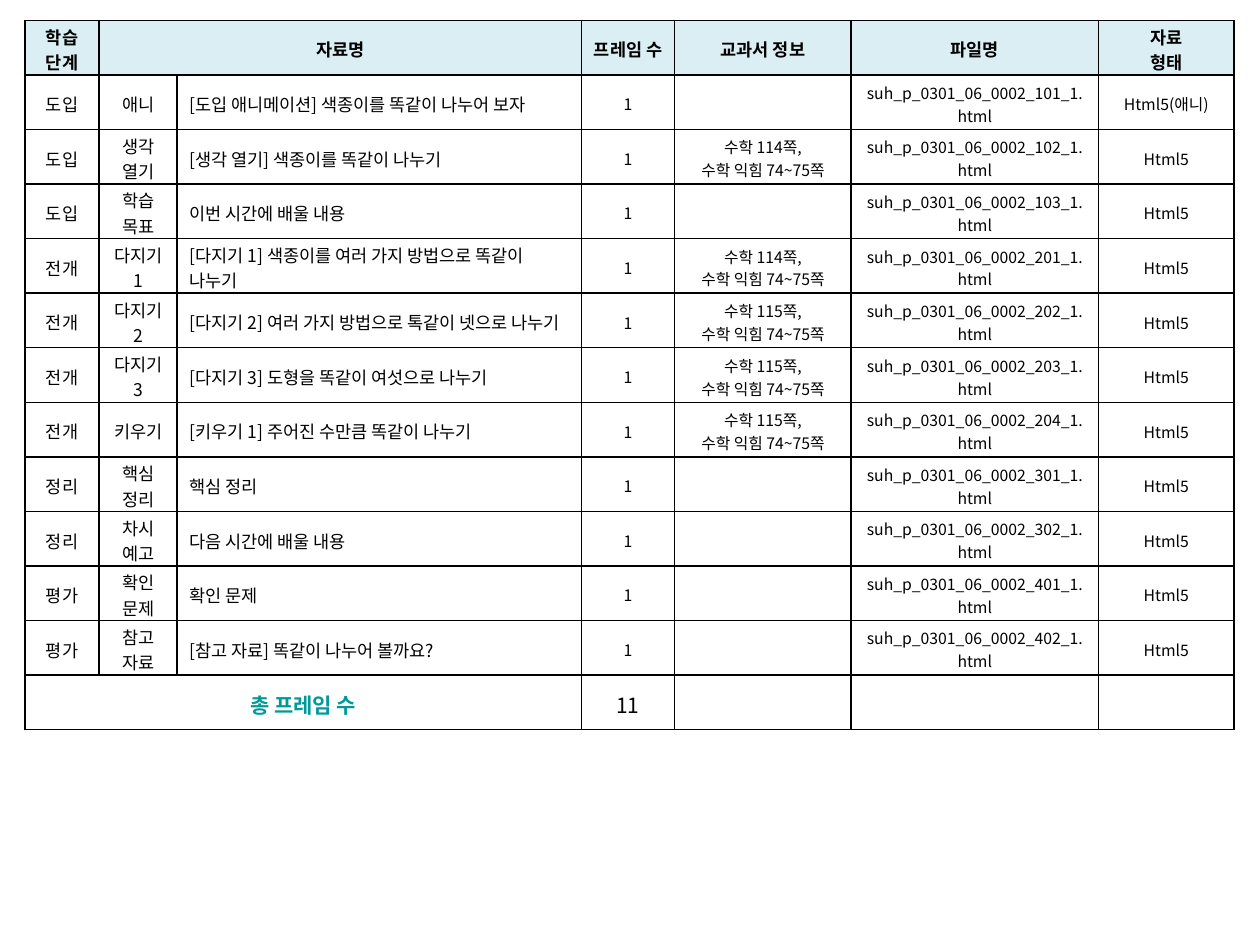
import dataclasses

import lxml.etree
import pptx
import pptx.dml.color
import pptx.enum.text
import pptx.oxml.ns
import pptx.util

Cm = pptx.util.Cm
Pt = pptx.util.Pt
ALIGN = pptx.enum.text.PP_ALIGN
qn = pptx.oxml.ns.qn


@dataclasses.dataclass
class Theme:
    font: str = "Noto Sans CJK KR"
    ink: str = "000000"
    teal: str = "009999"
    head: str = "DBEEF4"
    paper: str = "FFFFFF"
    small: int = 9
    text: int = 10
    large: int = 12
    line: int = 1


def color(code):
    return pptx.dml.color.RGBColor.from_string(code)


class Deck:
    def __init__(self, theme):
        self.theme = theme
        self.file = pptx.Presentation()
        self.file.slide_width = Cm(25.4)
        self.file.slide_height = Cm(19.05)
        self.slide = self.file.slides.add_slide(self.file.slide_layouts[6])

    def table(self, left, top, widths, height, count):
        """Add a plain table whose rows are all equally high."""
        frame = self.slide.shapes.add_table(
            count, len(widths), Cm(left), Cm(top),
            Cm(sum(widths)), Cm(height * count))
        table = frame.table
        table.first_row = table.horz_banding = False
        for column, width in zip(table.columns, widths):
            column.width = Cm(width)
        for row in table.rows:
            row.height = Cm(height)
        return table

    def border(self, cell):
        props = cell._tc.get_or_add_tcPr()
        for place, side in enumerate("LRTB"):
            line = lxml.etree.Element(qn("a:ln" + side), w=str(Pt(self.theme.line)))
            fill = lxml.etree.SubElement(line, qn("a:solidFill"))
            lxml.etree.SubElement(fill, qn("a:srgbClr"), val=self.theme.ink)
            props.insert(place, line)

    def cell(self, cell, text, size, fill=None, ink=None, bold=False,
             align=ALIGN.CENTER):
        theme = self.theme
        cell.fill.solid()
        cell.fill.fore_color.rgb = color(fill or theme.paper)
        self.border(cell)
        cell.vertical_anchor = pptx.enum.text.MSO_ANCHOR.MIDDLE
        cell.margin_top, cell.margin_bottom = Cm(0.07), 0
        cell.text = text
        for para in cell.text_frame.paragraphs:
            para.alignment = align
            font = para.font
            font.size, font.bold, font.name = Pt(size), bold, theme.font
            font.color.rgb = color(ink or theme.ink)
            lxml.etree.SubElement(font._element, qn("a:ea"), typeface=theme.font)


HEADS = ["학습 단계", "자료명", "", "프레임 수", "교과서 정보", "파일명", "자료\n형태"]
WIDTHS = [1.5, 1.57, 8.15, 1.88, 3.56, 4.98, 2.74]

# Stage, kind, title, textbook page, file number
ITEMS = [
    ("도입", "애니", "[도입 애니메이션] 색종이를 똑같이 나누어 보자", None, 101),
    ("도입", "생각 열기", "[생각 열기] 색종이를 똑같이 나누기", 114, 102),
    ("도입", "학습 목표", "이번 시간에 배울 내용", None, 103),
    ("전개", "다지기 1", "[다지기 1] 색종이를 여러 가지 방법으로 똑같이 나누기", 114, 201),
    ("전개", "다지기 2", "[다지기 2] 여러 가지 방법으로 톡같이 넷으로 나누기", 115, 202),
    ("전개", "다지기 3", "[다지기 3] 도형을 똑같이 여섯으로 나누기", 115, 203),
    ("전개", "키우기", "[키우기 1] 주어진 수만큼 똑같이 나누기", 115, 204),
    ("정리", "핵심 정리", "핵심 정리", None, 301),
    ("정리", "차시 예고", "다음 시간에 배울 내용", None, 302),
    ("평가", "확인 문제", "확인 문제", None, 401),
    ("평가", "참고 자료", "[참고 자료] 똑같이 나누어 볼까요?", None, 402),
]


def main():
    theme = Theme()
    deck = Deck(theme)
    last = len(ITEMS) + 1
    table = deck.table(0.5, 0.41, WIDTHS, 1.1, last + 1)
    table.cell(0, 1).merge(table.cell(0, 2))
    table.cell(last, 0).merge(table.cell(last, 2))

    for col, head in enumerate(HEADS):
        deck.cell(table.cell(0, col), head, theme.text, fill=theme.head, bold=True)

    for row, (stage, kind, title, page, number) in enumerate(ITEMS, 1):
        pages = f"수학 {page}쪽,\n수학 익힘 74~75쪽" if page else ""
        name = f"suh_p_0301_06_0002_{number}_1.html"
        form = "Html5(애니)" if kind == "애니" else "Html5"
        for col, text in enumerate([stage, kind, title, "1", pages, name, form]):
            deck.cell(table.cell(row, col), text,
                      theme.text if col < 3 else theme.small,
                      align=ALIGN.LEFT if col == 2 else ALIGN.CENTER)

    totals = ["총 프레임 수", "", "", str(len(ITEMS)), "", "", ""]
    for col, text in enumerate(totals):
        label = col == 0
        deck.cell(table.cell(last, col), text, theme.large,
                  ink=theme.teal if label else theme.ink, bold=label)

    deck.file.save("out.pptx")


if __name__ == "__main__":
    main()
